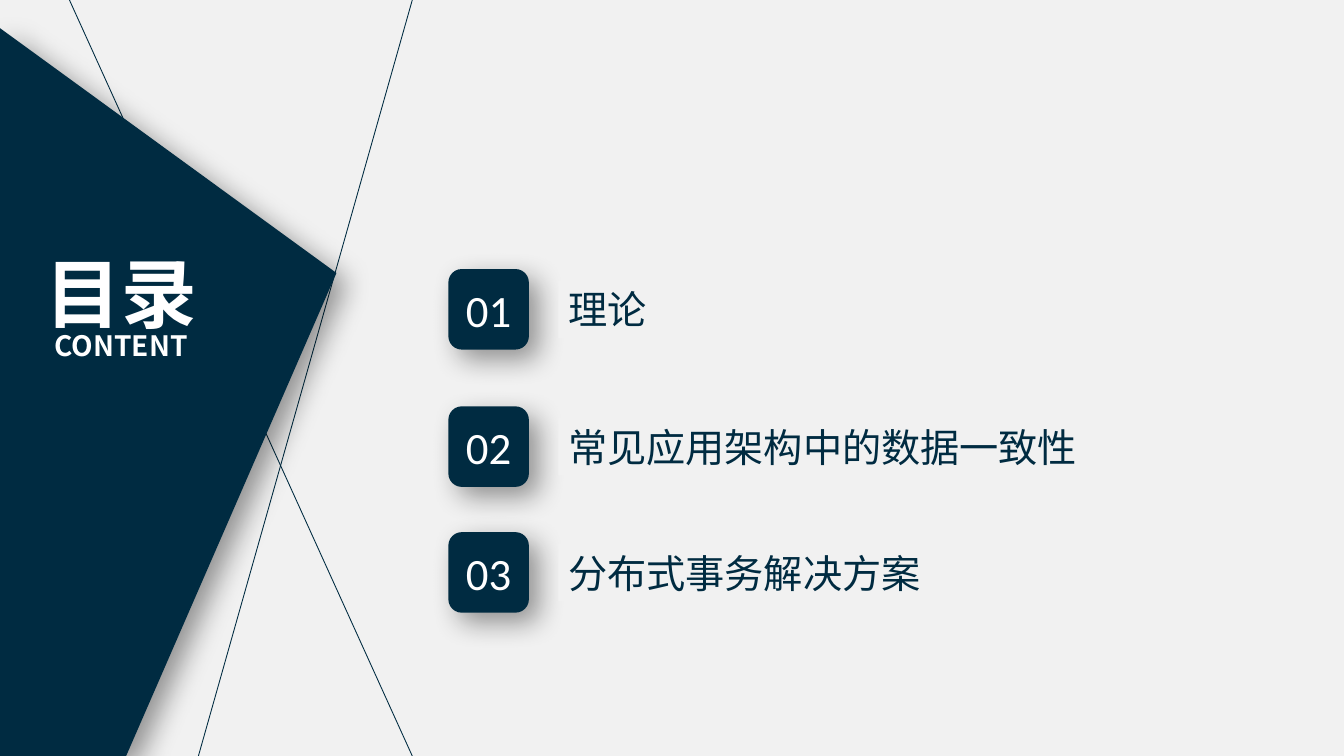
"""Build the contents slide: a dark angled panel and three numbered topics."""
from lxml import etree
from pptx import Presentation
from pptx import util as u
from pptx.dml.color import RGBColor
from pptx.enum import shapes, text
from pptx.oxml import ns

NAVY, PALE, WHITE = "002B41", "F1F1F1", "FFFFFF"
CJK, LATIN = "Noto Sans CJK SC", "Calibri"
WIDTH, HEIGHT = 33.87, 19.05

HEADING = [("目录", 54, 1), ("CONTENT", 20, 0.7)]
HEADING_BOX = (0.61, 6.1, 4.88, 3.43)
TOPICS = [
    ("01", "理论", 6.78, 8.05),
    ("02", "常见应用架构中的数据一致性", 10.24, 15.65),
    ("03", "分布式事务解决方案", 13.41, 15.65),
]
PANEL = [(3.18, HEIGHT), (0, HEIGHT), (0, 0.71), (8.48, 6.88)]
RAYS = [(10.39, 0, 5, HEIGHT), (10.39, HEIGHT, 1.75, 0)]
BADGE_LEFT, BADGE_SIDE = 11.3, 2.03
LABEL_LEFT, LABEL_HEIGHT = 14.07, 1.45


def color(value):
    return RGBColor.from_string(value)


def cm(*lengths):
    return [u.Cm(length) for length in lengths]


def paint(shape, fill):
    shape.shadow.inherit = False
    shape.fill.solid()
    shape.fill.fore_color.rgb = color(fill)
    shape.line.fill.background()


def cast_shadow(shape):
    effects = shape.element.spPr.find(ns.qn("a:effectLst"))
    shadow = etree.SubElement(
        effects, ns.qn("a:outerShdw"), blurRad=str(u.Pt(20)), dist=str(u.Pt(10)),
        dir="2700000", algn="tl", rotWithShape="0")
    black = etree.SubElement(shadow, ns.qn("a:srgbClr"), val="000000")
    etree.SubElement(black, ns.qn("a:alpha"), val="40000")


def write(paragraph, words, size, font, ink, align, bold=False):
    paragraph.alignment = align
    run = paragraph.add_run()
    run.text = words
    run.font.size = u.Pt(size)
    run.font.bold = bold
    run.font.name = font
    run.font.color.rgb = color(ink)
    etree.SubElement(run.font._element, ns.qn("a:ea"), typeface=font)


def add_rays(slide):
    for ray in RAYS:
        line = slide.shapes.add_connector(shapes.MSO_CONNECTOR.STRAIGHT, *cm(*ray))
        line.line.color.rgb = color(NAVY)
        line.line.width = u.Pt(0.63)
        etree.SubElement(line.element.spPr, ns.qn("a:effectLst"))


def add_panel(slide):
    start, *corners = [cm(*point) for point in PANEL]
    builder = slide.shapes.build_freeform(*start)
    builder.add_line_segments(corners, close=True)
    panel = builder.convert_to_shape()
    paint(panel, NAVY)
    cast_shadow(panel)
    return panel


def add_heading(slide, panel):
    title = slide.shapes.title
    title.left, title.top, title.width, title.height = cm(*HEADING_BOX)
    panel.element.addnext(title.element)
    frame = title.text_frame
    frame.auto_size = text.MSO_AUTO_SIZE.NONE
    frame.vertical_anchor = text.MSO_ANCHOR.MIDDLE
    frame.margin_top, frame.margin_bottom = cm(0, 0.3)
    for index, (words, size, spacing) in enumerate(HEADING):
        paragraph = frame.add_paragraph() if index else frame.paragraphs[0]
        paragraph.line_spacing = spacing
        write(paragraph, words, size, CJK, WHITE, text.PP_ALIGN.CENTER, bold=True)


def add_topic(slide, number, topic, top, width):
    badge = slide.shapes.add_shape(
        shapes.MSO_SHAPE.ROUNDED_RECTANGLE, *cm(BADGE_LEFT, top, BADGE_SIDE, BADGE_SIDE))
    paint(badge, NAVY)
    cast_shadow(badge)
    badge.text_frame.margin_left = badge.text_frame.margin_right = 0
    write(badge.text_frame.paragraphs[0], number, 32, LATIN, WHITE, text.PP_ALIGN.CENTER)

    label_top = top + (BADGE_SIDE - LABEL_HEIGHT) / 2
    label = slide.shapes.add_shape(
        shapes.MSO_SHAPE.RECTANGLE, *cm(LABEL_LEFT, label_top, width, LABEL_HEIGHT))
    paint(label, PALE)
    label.text_frame.word_wrap = True
    label.text_frame.margin_top = label.text_frame.margin_bottom = 0
    write(label.text_frame.paragraphs[0], topic, 28, CJK, NAVY, text.PP_ALIGN.LEFT)


def main():
    deck = Presentation()
    deck.slide_width, deck.slide_height = cm(WIDTH, HEIGHT)
    slide = deck.slides.add_slide(deck.slide_layouts.get_by_name("Title Only"))
    slide.background.fill.solid()
    slide.background.fill.fore_color.rgb = color(PALE)
    add_rays(slide)
    add_heading(slide, add_panel(slide))
    for topic in TOPICS:
        add_topic(slide, *topic)
    deck.save("out.pptx")


if __name__ == "__main__":
    main()
